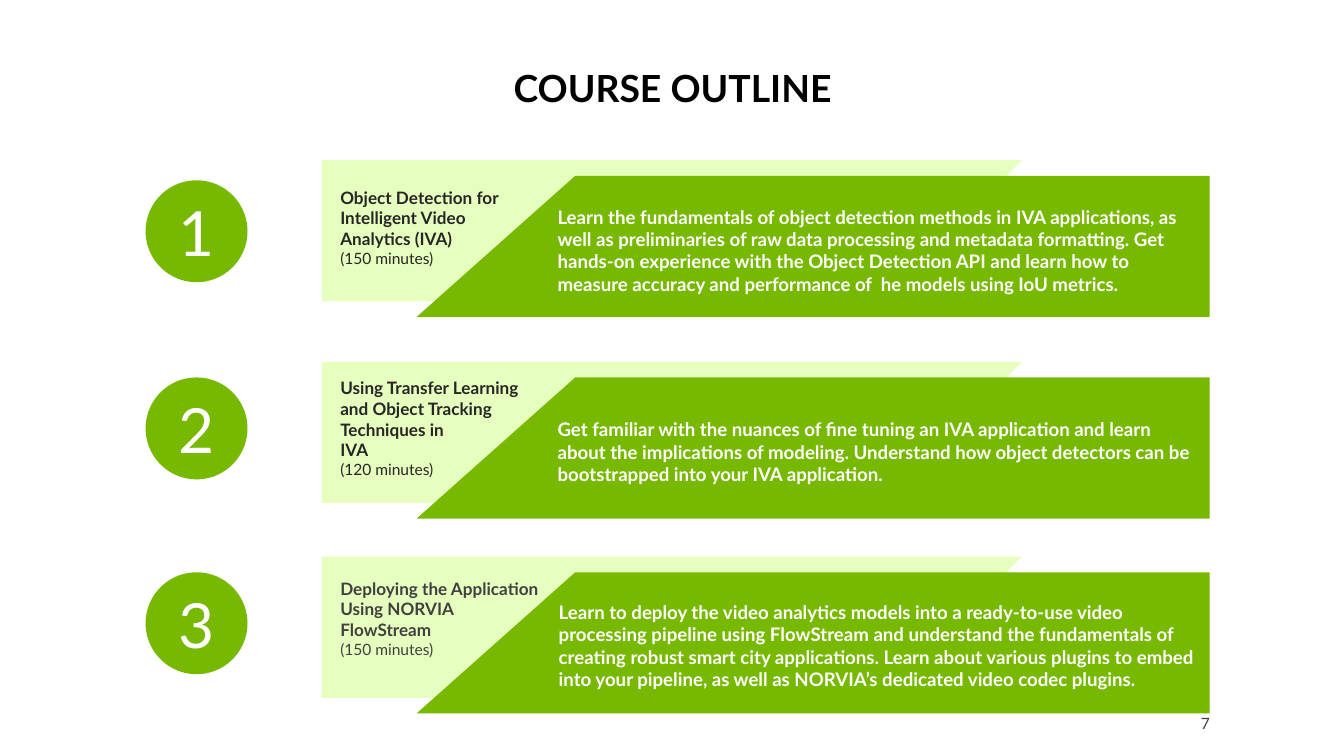
from pptx import Presentation
from pptx import util as u
from pptx.dml.color import RGBColor
from pptx.enum import shapes, text

GREEN = RGBColor(0x76, 0xB9, 0x00)
PALE_GREEN = RGBColor(0xE7, 0xFF, 0xBE)
BLACK = RGBColor(0x00, 0x00, 0x00)
WHITE = RGBColor(0xFF, 0xFF, 0xFF)
DARK = RGBColor(0x26, 0x26, 0x26)
GREY = RGBColor(0x40, 0x40, 0x40)
FONT = "Lato"
BAND_HEIGHT = 1.26
CIRCLE_SIZE = 0.91

SECTIONS = [
    dict(
        center=2.06, circle_top=1.61, color=DARK,
        label=["Object Detection for", "Intelligent Video", "Analytics (IVA)"],
        minutes="(150 minutes)", label_box=(2.94, 1.61, 2.17, 0.84),
        description="Learn the fundamentals of object detection methods in IVA applications, as well as "
        "preliminaries of raw data processing and metadata formatting. Get hands-on experience with the "
        "Object Detection API and learn how to measure accuracy and performance of  he models using IoU metrics.",
        description_box=(4.88, 1.78, 5.95, 0.91),
    ),
    dict(
        center=3.86, circle_top=3.37, color=DARK,
        label=["Using Transfer Learning", "and Object Tracking Techniques in", "IVA"],
        minutes="(120 minutes)", label_box=(2.94, 3.31, 2.17, 1.03),
        description="Get familiar with the nuances of fine tuning an IVA application and learn about the "
        "implications of modeling. Understand how object detectors can be bootstrapped into your IVA application.",
        description_box=(4.88, 3.68, 5.95, 0.71),
    ),
    dict(
        center=5.6, circle_top=5.11, color=GREY,
        label=["Deploying the Application Using NORVIA", "FlowStream"],
        minutes="(150 minutes)", label_box=(2.94, 5.1, 2.26, 0.84),
        description="Learn to deploy the video analytics models into a ready-to-use video processing pipeline "
        "using FlowStream and understand the fundamentals of creating robust smart city applications. Learn "
        "about various plugins to embed into your pipeline, as well as NORVIA’s dedicated video codec plugins.",
        description_box=(4.89, 5.21, 5.95, 1.11),
    ),
]


def write(paragraph, words, size=12, color=BLACK, bold=False, align=text.PP_ALIGN.LEFT):
    """Add formatted words to a paragraph."""
    paragraph.alignment = align
    run = paragraph.add_run()
    run.text = words
    run.font.name = FONT
    run.font.size = u.Pt(size)
    run.font.bold = bold
    run.font.color.rgb = color


class OutlineSlide:
    """Hold the slide and draw its elements in one style."""

    def __init__(self, presentation):
        self.slide = presentation.slides.add_slide(presentation.slide_layouts[5])

    def title(self, words, box):
        title = self.slide.shapes.title
        title.left, title.top, title.width, title.height = map(u.Inches, box)
        frame = title.text_frame
        frame.vertical_anchor = text.MSO_ANCHOR.BOTTOM
        paragraph = frame.paragraphs[0]
        paragraph.line_spacing = 0.9
        write(paragraph, words, size=24, bold=True, align=text.PP_ALIGN.CENTER)

    def filled(self, kind, box, color):
        shape = self.slide.shapes.add_shape(kind, *map(u.Inches, box))
        shape.shadow.inherit = False
        shape.fill.solid()
        shape.fill.fore_color.rgb = color
        shape.line.fill.background()
        return shape

    def band(self, center_x, center_y, length, rotation, color):
        box = (center_x - BAND_HEIGHT / 2, center_y - length / 2, BAND_HEIGHT, length)
        shape = self.filled(shapes.MSO_SHAPE.FLOWCHART_MANUAL_INPUT, box, color)
        shape.rotation = rotation
        shape._element.spPr.xfrm.set("flipH", "1")

    def circle(self, number, top):
        box = (1.3, top, CIRCLE_SIZE, CIRCLE_SIZE)
        shape = self.filled(shapes.MSO_SHAPE.OVAL, box, GREEN)
        shape.text_frame.vertical_anchor = text.MSO_ANCHOR.MIDDLE
        write(shape.text_frame.paragraphs[0], str(number), size=40, color=WHITE, align=text.PP_ALIGN.CENTER)

    def text_box(self, lines, box):
        frame = self.slide.shapes.add_textbox(*map(u.Inches, box)).text_frame
        frame.word_wrap = True
        frame.vertical_anchor = text.MSO_ANCHOR.MIDDLE
        for index, (words, style) in enumerate(lines):
            paragraph = frame.add_paragraph() if index else frame.paragraphs[0]
            write(paragraph, words, **style)

    def section(self, center, color, label, minutes, label_box, description, description_box, **_):
        self.band(6, center, 6.25, 90, PALE_GREEN)
        self.band(7.26, center + 0.14, 7.08, 270, GREEN)
        lines = [(words, dict(size=11, color=color, bold=True)) for words in label]
        lines.append((minutes, dict(size=10, color=color)))
        self.text_box(lines, label_box)
        self.text_box([(description, dict(color=WHITE, bold=True))], description_box)


def main():
    """Build and save the course outline."""
    presentation = Presentation()
    presentation.slide_width = u.Inches(12)
    presentation.slide_height = u.Inches(6.75)
    outline = OutlineSlide(presentation)
    outline.title("COURSE OUTLINE", (0.55, 0.39, 10.91, 0.65))
    for section in SECTIONS:
        outline.section(**section)
    for number, section in enumerate(SECTIONS, 1):
        outline.circle(number, section["circle_top"])
    page_style = dict(size=10, color=GREY, align=text.PP_ALIGN.RIGHT)
    outline.text_box([("7", page_style)], (8.2, 6.28, 2.7, 0.36))
    presentation.save("out.pptx")


if __name__ == "__main__":
    main()
